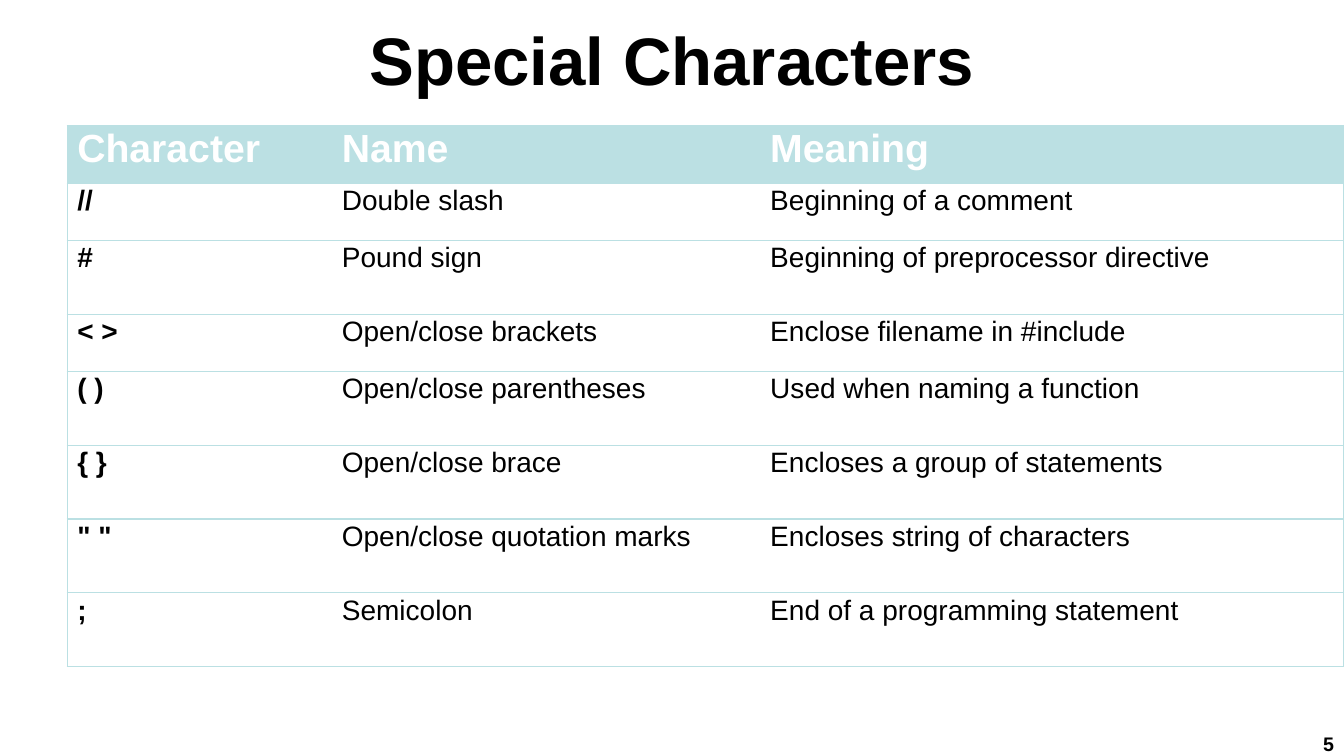
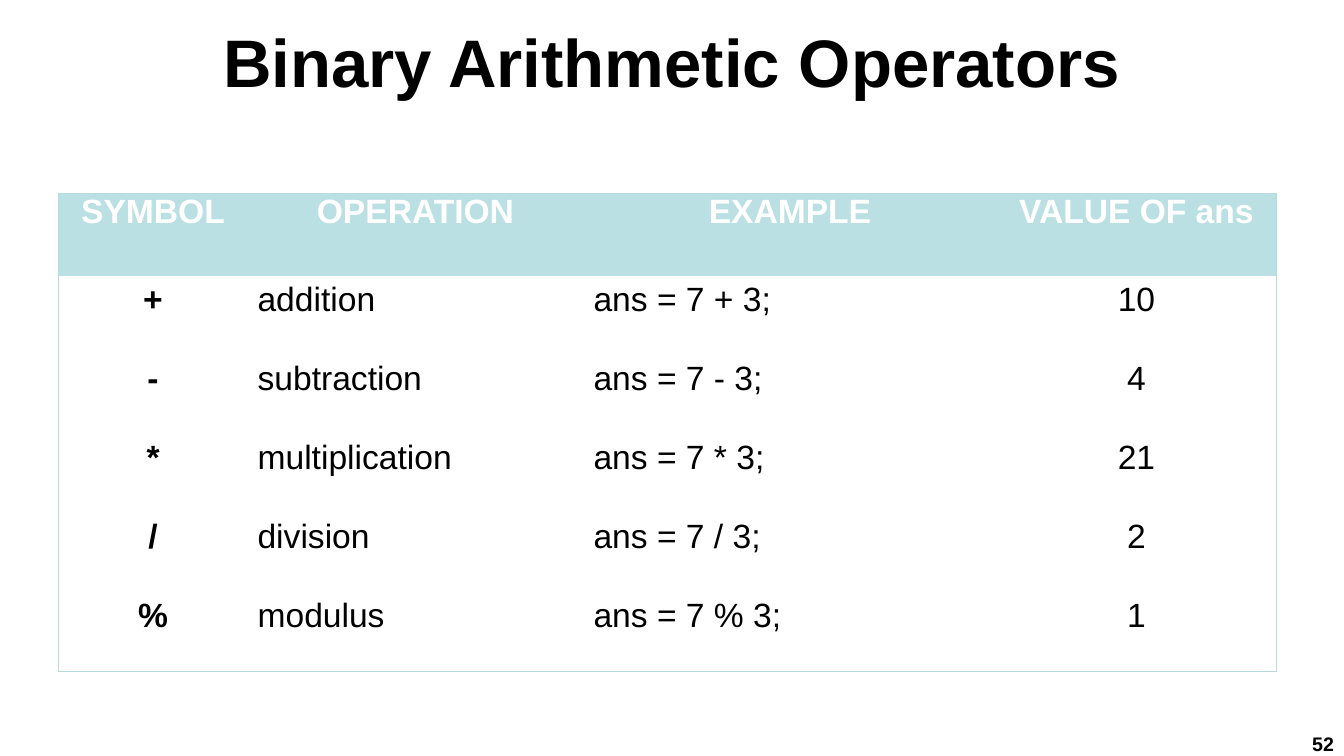
from dataclasses import dataclass

from lxml.etree import SubElement
from pptx import Presentation
from pptx.dml.color import RGBColor
from pptx.enum.text import MSO_ANCHOR, MSO_AUTO_SIZE, PP_ALIGN
from pptx.oxml.ns import qn
from pptx.util import Pt


@dataclass(frozen=True)
class Theme:
    font: str = "Arial"
    ink: str = "000000"
    paper: str = "FFFFFF"
    band: str = "BBE0E3"
    outline: str = "B6DCDF"
    title_size: int = 48
    number_size: int = 14


@dataclass(frozen=True)
class TableStyle:
    header_size: int
    body_size: int
    header_spacing: float
    body_spacing: float
    header_alignments: tuple
    body_alignments: tuple
    line_color: str
    line_width: float
    row_lines: bool


THEME = Theme()
PAGE_WIDTH, PAGE_HEIGHT = 960, 540
PLAIN_TABLE = "{2D5ABB26-0587-4C30-8999-92F81FD0307C}"
LEFT, CENTER, RIGHT = PP_ALIGN.LEFT, PP_ALIGN.CENTER, PP_ALIGN.RIGHT

CHARACTER_STYLE = TableStyle(
    header_size=28, body_size=20, header_spacing=0.9, body_spacing=0.9,
    header_alignments=(LEFT,) * 3, body_alignments=(LEFT,) * 3,
    line_color=THEME.band, line_width=1, row_lines=True,
)
OPERATOR_STYLE = TableStyle(
    header_size=24, body_size=24, header_spacing=0.85, body_spacing=1.0,
    header_alignments=(CENTER,) * 4, body_alignments=(CENTER, LEFT, LEFT, CENTER),
    line_color=THEME.outline, line_width=0.75, row_lines=False,
)

CHARACTERS = [
    ("Character", "Name", "Meaning"),
    ("//", "Double slash", "Beginning of a comment"),
    ("#", "Pound sign", "Beginning of preprocessor directive"),
    ("< >", "Open/close brackets", "Enclose filename in #include"),
    ("( )", "Open/close parentheses", "Used when naming a function"),
    ("{ }", "Open/close brace", "Encloses a group of statements"),
    ('" "', "Open/close quotation marks", "Encloses string of characters"),
    (";", "Semicolon", "End of a programming statement"),
]
OPERATORS = [
    ("SYMBOL", "OPERATION", "EXAMPLE", "VALUE OF ans"),
    ("+", "addition", "ans = 7 + 3;", "10"),
    ("-", "subtraction", "ans = 7 - 3;", "4"),
    ("*", "multiplication", "ans = 7 * 3;", "21"),
    ("/", "division", "ans = 7 / 3;", "2"),
    ("%", "modulus", "ans = 7 % 3;", "1"),
]


def set_attributes(target, values):
    for name, value in values.items():
        setattr(target, name, value)


def write_text(frame, text, size, color=THEME.ink, bold=True, alignment=LEFT, spacing=1.0):
    para = frame.paragraphs[0]
    set_attributes(para, {"alignment": alignment, "line_spacing": spacing})
    span = para.add_run()
    span.text = text
    set_attributes(span.font, {"name": THEME.font, "size": Pt(size), "bold": bold})
    span.font.color.rgb = RGBColor.from_string(color)


def add_page(deck, title, title_height, number):
    page = deck.slides.add_slide(deck.slide_layouts[5])
    box = page.shapes.title
    set_attributes(box, {"left": 0, "top": 0, "width": Pt(PAGE_WIDTH), "height": Pt(title_height)})
    write_text(box.text_frame, title, THEME.title_size, alignment=CENTER)
    number_box = page.shapes.add_textbox(Pt(PAGE_WIDTH - 43), Pt(PAGE_HEIGHT - 18), Pt(43), Pt(18))
    write_text(number_box.text_frame, str(number), THEME.number_size, alignment=RIGHT)
    frame_format = {"word_wrap": True, "auto_size": MSO_AUTO_SIZE.NONE,
                    "vertical_anchor": MSO_ANCHOR.MIDDLE}
    for frame in (box.text_frame, number_box.text_frame):
        set_attributes(frame, frame_format)
    return page


def add_borders(cell, sides, color, width):
    properties = cell._tc.get_or_add_tcPr()
    for side in sides:
        line = SubElement(properties, qn(f"a:ln{side}"), w=str(Pt(width)))
        SubElement(SubElement(line, qn("a:solidFill")), qn("a:srgbClr"), val=color)


def border_sides(row, column, last_row, last_column, row_lines):
    edges = {
        "L": column == 0,
        "R": column == last_column,
        "T": row_lines or row == 0,
        "B": row_lines or row == last_row,
    }
    return [side for side, drawn in edges.items() if drawn]


def format_cell(cell, text, row, column, style):
    header = row == 0
    alignments = style.header_alignments if header else style.body_alignments
    write_text(
        cell.text_frame, text,
        size=style.header_size if header else style.body_size,
        color=THEME.paper if header else THEME.ink,
        bold=header or column == 0,
        alignment=alignments[column],
        spacing=style.header_spacing if header else style.body_spacing,
    )
    cell.fill.solid()
    cell.fill.fore_color.rgb = RGBColor.from_string(THEME.band if header else THEME.paper)


def add_grid(page, left, top, widths, heights, rows, style):
    table = page.shapes.add_table(
        len(rows), len(widths), Pt(left), Pt(top), Pt(sum(widths)), Pt(sum(heights))
    ).table
    table._tbl.tblPr.find(qn("a:tableStyleId")).text = PLAIN_TABLE
    table.horizontal_banding = False
    for column, width in zip(table.columns, widths):
        column.width = Pt(width)
    for row, height in zip(table.rows, heights):
        row.height = Pt(height)
    for row, texts in enumerate(rows):
        for column, text in enumerate(texts):
            cell = table.cell(row, column)
            sides = border_sides(row, column, len(rows) - 1, len(widths) - 1, style.row_lines)
            add_borders(cell, sides, style.line_color, style.line_width)
            format_cell(cell, text, row, column, style)


def main():
    deck = Presentation()
    set_attributes(deck, {"slide_width": Pt(PAGE_WIDTH), "slide_height": Pt(PAGE_HEIGHT)})

    page = add_page(deck, "Special Characters", 84, 5)
    short, tall = 40.8, 52.8
    add_grid(page, 48, 90, (189, 306, 417), [short, short, tall, short] + [tall] * 4,
             CHARACTERS, CHARACTER_STYLE)

    page = add_page(deck, "Binary Arithmetic Operators", 86.4, 52)
    add_grid(page, 41.8, 138.2, (135, 240, 295, 200), [59] + [56.5] * 5,
             OPERATORS, OPERATOR_STYLE)

    deck.save("out.pptx")


if __name__ == "__main__":
    main()
